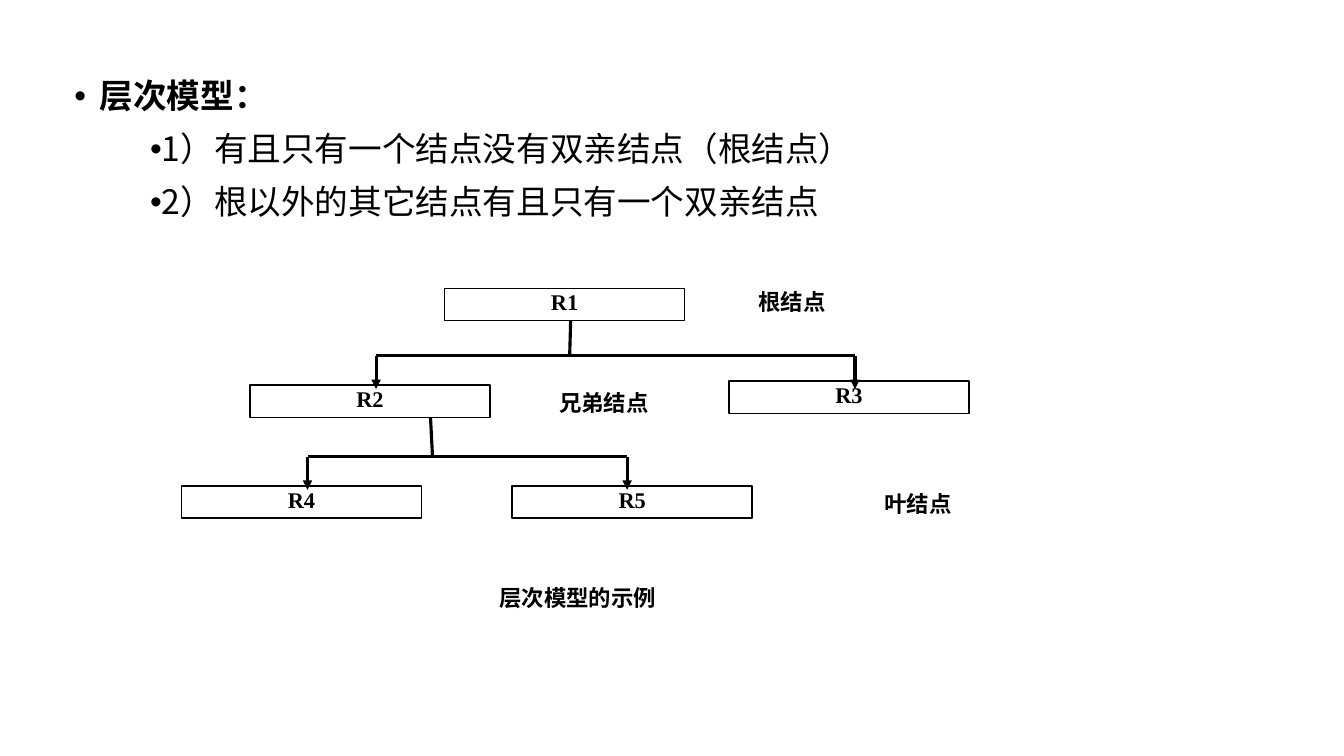
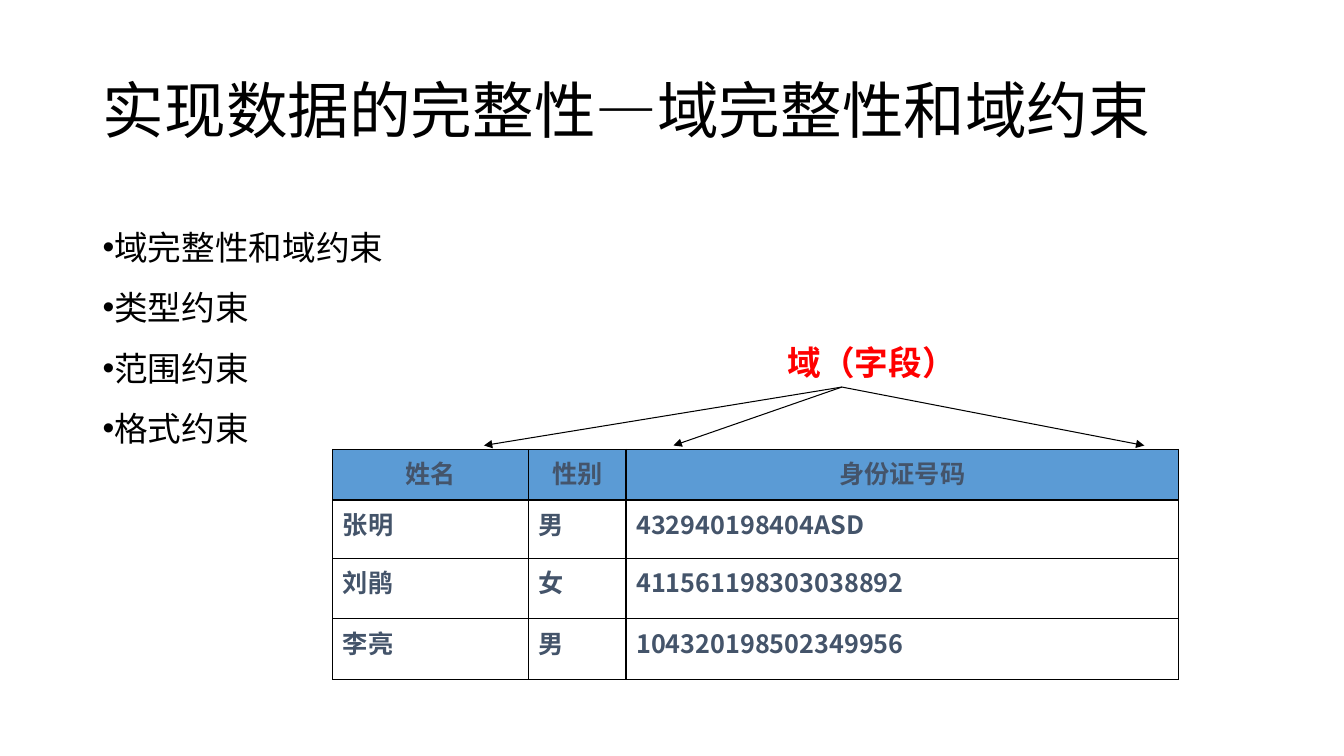
from pptx import Presentation
from pptx.dml.color import RGBColor
from pptx.enum.shapes import MSO_CONNECTOR, MSO_SHAPE
from pptx.enum.text import MSO_ANCHOR, PP_ALIGN
from pptx.oxml.ns import qn
from pptx.util import Inches, Pt
from lxml.etree import SubElement

BLACK, WHITE, RED, SLATE, BLUE = "000000", "FFFFFF", "FF0000", "44546A", "5B9BD5"
BODY_FONT = "Noto Sans CJK SC"
TITLE = {"name": "Arial", "size": Pt(44), "bold": False}
BODY = {"name": BODY_FONT, "size": Pt(24), "bold": False}
HEADING = {**BODY, "bold": True}
NODE = {"name": "Times New Roman", "size": Pt(16), "bold": True}
CALLOUT = {"name": "Arial Narrow", "size": Pt(24), "bold": True}
CELL = {"name": BODY_FONT, "size": Pt(18), "bold": True}
NODE_SIZE = (2.38, 0.32)


def color(value):
    """Turn a hex string into a colour."""
    return RGBColor.from_string(value)


def set_attributes(target, values):
    """Set every attribute named in a dict."""
    for name, value in values.items():
        setattr(target, name, value)


def write(paragraph, text, font, ink=BLACK, **layout):
    """Write one formatted run into a paragraph."""
    run = paragraph.add_run()
    run.text = text
    set_attributes(run.font, font)
    run.font.color.rgb = color(ink)
    set_attributes(paragraph, layout)


def indent(paragraph, margin, first_line):
    """Set the left margin and first-line indent of a paragraph."""
    properties = paragraph._p.get_or_add_pPr()
    properties.set("marL", str(Inches(margin)))
    properties.set("indent", str(Inches(first_line)))
    return properties


def add_bullets(slide, box, items, **layout):
    """Add a bulleted list of (text, font, margin, first line) items."""
    frame = slide.shapes.add_textbox(*map(Inches, box)).text_frame
    frame.word_wrap = True
    for index, (text, font, margin, first_line) in enumerate(items):
        paragraph = frame.add_paragraph() if index else frame.paragraphs[0]
        write(paragraph, text, font, **layout)
        properties = indent(paragraph, margin, first_line)
        SubElement(properties, qn("a:buFont")).set("typeface", "Arial")
        SubElement(properties, qn("a:buChar")).set("char", "•")


def add_box(slide, box, text, font, ink=BLACK, fill=None, line=None, inset=None, **layout):
    """Add a rectangle with centred text and optional fill and outline."""
    shape = slide.shapes.add_shape(MSO_SHAPE.RECTANGLE, *map(Inches, box))
    shape.shadow.inherit = False
    if fill:
        shape.fill.solid()
        shape.fill.fore_color.rgb = color(fill)
    else:
        shape.fill.background()
    if line:
        shape.line.color.rgb = color(line)
        shape.line.width = Pt(1)
    else:
        shape.line.fill.background()
    frame = shape.text_frame
    set_attributes(frame, {"word_wrap": True, "vertical_anchor": MSO_ANCHOR.TOP, **(inset or {})})
    write(frame.paragraphs[0], text, font, ink, alignment=PP_ALIGN.CENTER, **layout)


def add_line(slide, start, end, width, arrow=False):
    """Add a straight black line, with an arrowhead if asked."""
    connector = slide.shapes.add_connector(MSO_CONNECTOR.STRAIGHT, *map(Inches, (*start, *end)))
    connector.line.color.rgb = color(BLACK)
    connector.line.width = Pt(width)
    if arrow:
        SubElement(connector.line._get_or_add_ln(), qn("a:tailEnd")).set("type", "triangle")
    SubElement(connector._element.spPr, qn("a:effectLst"))


def add_branch(slide, foot, rail, children):
    """Join a parent's foot to a rail with one arrow down to each child."""
    rail_x, rail_y = rail
    add_line(slide, foot, rail, 2.25)
    add_line(slide, (children[0], rail_y), (children[-1], rail_y), 2.25)
    for x in children:
        add_line(slide, (x, rail_y), (x, rail_y + 0.33), 2.25, arrow=True)


def add_tree(slide, left, top):
    """Draw the hierarchy with its labels and caption."""
    inset = {"margin_top": 0, "margin_bottom": Inches(0.05)}
    nodes = [("R1", 2.61, 0), ("R2", 0.68, 0.96), ("R3", 5.43, 0.92),
             ("R4", 0, 1.96), ("R5", 3.28, 1.96)]
    labels = [("根结点", 4.98, 0, 2.15), ("兄弟结点", 2.72, 1, 2.94),
              ("叶结点", 6.23, 2, 2.15), ("层次模型的示例", 0.48, 2.93, 6.9)]
    for text, x, y in nodes:
        add_box(slide, (left + x, top + y, *NODE_SIZE), text, NODE,
                fill=WHITE, line=BLACK, inset=inset)
    for text, x, y, width in labels:
        add_box(slide, (left + x, top + y, width, NODE_SIZE[1]), text, NODE, inset=inset)
    add_branch(slide, (left + 3.86, top + 0.32), (left + 3.85, top + 0.67),
               (left + 1.93, left + 6.68))
    add_branch(slide, (left + 2.47, top + 1.28), (left + 2.49, top + 1.67),
               (left + 1.25, left + 4.42))


def add_border(cell):
    """Give a cell a thin black border on every side."""
    properties = cell._tc.get_or_add_tcPr()
    for index, side in enumerate(("lnL", "lnR", "lnT", "lnB")):
        line = properties.makeelement(qn(f"a:{side}"), {"w": str(Pt(1))})
        fill = SubElement(line, qn("a:solidFill"))
        SubElement(fill, qn("a:srgbClr")).set("val", BLACK)
        properties.insert(index, line)


def add_records(slide, left, top):
    """Draw the table of people."""
    rows = [("姓名", "性别", "身份证号码"),
            ("张明", "男", "432940198404ASD"),
            ("刘鹃", "女", "411561198303038892"),
            ("李亮", "男", "104320198502349956")]
    widths, heights = (1.94, 0.97, 5.48), (0.5, 0.58, 0.6, 0.6)
    table = slide.shapes.add_table(
        len(rows), len(widths),
        *map(Inches, (left, top, sum(widths), sum(heights)))).table
    for column, width in zip(table.columns, widths):
        column.width = Inches(width)
    for row_index, (row, height) in enumerate(zip(rows, heights)):
        table.rows[row_index].height = Inches(height)
        for column_index, text in enumerate(row):
            cell = table.cell(row_index, column_index)
            if row_index:
                cell.fill.background()
            else:
                cell.fill.solid()
                cell.fill.fore_color.rgb = color(BLUE)
            add_border(cell)
            paragraph = cell.text_frame.paragraphs[0]
            font = CELL if column_index else {**CELL, "name": "Karla"}
            write(paragraph, text, font, SLATE,
                  alignment=PP_ALIGN.JUSTIFY if row_index else PP_ALIGN.CENTER)
            indent(paragraph, 0.38, -0.38)


def add_field_callout(slide, left, top):
    """Draw the field label and its arrows to the columns."""
    add_box(slide, (left, top, 2.59, 0.42), "域（字段）", CALLOUT, RED, WHITE, line_spacing=0.8)
    for x in (-2.55, -0.67, 4):
        add_line(slide, (left + 1, top + 0.42), (left + x, top + 1), 0.75, arrow=True)


def build_hierarchy_slide(presentation):
    """Build the slide on the hierarchical model."""
    slide = presentation.slides.add_slide(presentation.slide_layouts[6])
    add_bullets(slide, (0.64, 0.74, 11.5, 1.7), [
        ("层次模型：", HEADING, 0.25, -0.25),
        ("1）有且只有一个结点没有双亲结点（根结点）", BODY, 0.25, 0.5),
        ("2）根以外的其它结点有且只有一个双亲结点", BODY, 0.25, 0.5),
    ], line_spacing=0.9, space_before=Pt(12))
    add_tree(slide, 1.8, 2.86)


def build_integrity_slide(presentation):
    """Build the slide on domain integrity."""
    slide = presentation.slides.add_slide(presentation.slide_layouts[5])
    title = slide.shapes.title
    set_attributes(title, {"left": Inches(0.92), "top": Inches(0.4),
                           "width": Inches(10.75), "height": Inches(1.45)})
    title.text_frame.vertical_anchor = MSO_ANCHOR.MIDDLE
    write(title.text_frame.paragraphs[0], "实现数据的完整性—域完整性和域约束", TITLE,
          alignment=PP_ALIGN.LEFT, line_spacing=0.9)
    topics = ("域完整性和域约束", "类型约束", "范围约束", "格式约束")
    add_bullets(slide, (0.92, 2, 11.5, 2.6),
                [(topic, BODY, 0, -0.25) for topic in topics], line_spacing=1.5)
    add_records(slide, 3.3, 4.46)
    add_field_callout(slide, 7.35, 3.42)


def main():
    """Build and save the presentation."""
    presentation = Presentation()
    set_attributes(presentation, {"slide_width": Inches(13.33), "slide_height": Inches(7.5)})
    build_hierarchy_slide(presentation)
    build_integrity_slide(presentation)
    presentation.save("out.pptx")


if __name__ == "__main__":
    main()
